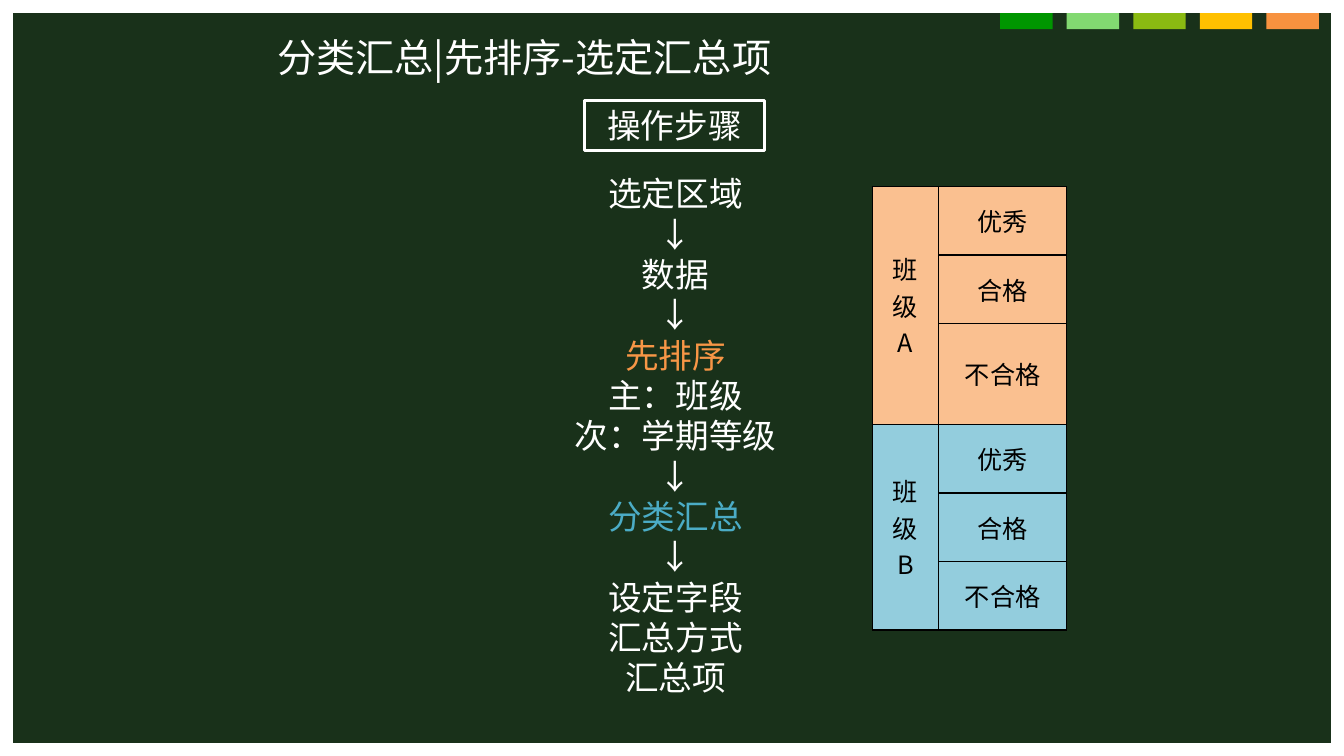
"""Build the slide on sorting before a classified subtotal."""
from lxml.etree import SubElement
from pptx import Presentation
from pptx.dml.color import RGBColor
from pptx.enum.shapes import MSO_SHAPE
from pptx.enum.text import MSO_ANCHOR, MSO_AUTO_SIZE, PP_ALIGN
from pptx.oxml.ns import qn
from pptx.util import Inches, Pt

TITLE = "分类汇总|先排序-选定汇总项"
HEADING = "操作步骤"
STEPS = ["选定区域", "↓", "数据", "↓", "先排序", "主：班级", "次：学期等级",
         "↓", "分类汇总", "↓", "设定字段", "汇总方式", "汇总项"]
STEP_COLORS = {"先排序": "F79646", "分类汇总": "4BACC6"}
CLASSES = [("A", "FAC090"), ("B", "93CDDD")]
GRADES = ["优秀", "合格", "不合格"]
BAR_COLORS = ["009600", "82D971", "8ABA12", "FFC000", "F7923F"]
COLUMN_WIDTHS = [0.66, 1.27]
ROW_HEIGHTS = [0.68, 0.68, 1.0, 0.68, 0.68, 0.68]


class Theme:
    """Colours, font and type sizes."""
    font = "Noto Sans CJK SC"
    board = "19311A"
    light = "FFFFFF"
    dark = "000000"
    title_size = 28
    step_size = 24
    table_size = 18
    step_pitch = 28.8


def write_text(frame, lines, size, color=Theme.light, align=PP_ALIGN.CENTER,
               highlights=None, pitch=None):
    """Fill a text frame with one paragraph per line."""
    for index, line in enumerate(lines):
        paragraph = frame.add_paragraph() if index else frame.paragraphs[0]
        paragraph.alignment = align
        if pitch:
            paragraph.line_spacing = Pt(pitch)
        run = paragraph.add_run()
        run.text = line
        run.font.size = Pt(size)
        run.font.name = Theme.font
        run.font.color.rgb = RGBColor.from_string((highlights or {}).get(line, color))
        SubElement(run.font._element, qn("a:ea"), typeface=Theme.font)


def add_rectangle(slide, left, top, width, height, fill=None, line=None):
    """Add a flat rectangle with an optional fill and outline."""
    shape = slide.shapes.add_shape(MSO_SHAPE.RECTANGLE, Inches(left), Inches(top),
                                   Inches(width), Inches(height))
    shape.shadow.inherit = False
    if fill:
        shape.fill.solid()
        shape.fill.fore_color.rgb = RGBColor.from_string(fill)
    else:
        shape.fill.background()
    if line:
        shape.line.color.rgb = RGBColor.from_string(line)
        shape.line.width = Pt(2.25)
    else:
        shape.line.fill.background()
    return shape


def format_cell(cell, fill):
    """Give a cell black borders, a fill and middle anchoring."""
    properties = cell._tc.get_or_add_tcPr()
    for side in ("a:lnL", "a:lnR", "a:lnT", "a:lnB"):
        border = SubElement(properties, qn(side), w=str(Pt(1)))
        SubElement(SubElement(border, qn("a:solidFill")), qn("a:srgbClr"), val=Theme.dark)
    cell.fill.solid()
    cell.fill.fore_color.rgb = RGBColor.from_string(fill)
    cell.vertical_anchor = MSO_ANCHOR.MIDDLE


def add_grade_table(slide):
    """Add the table of grades grouped by class."""
    table = slide.shapes.add_table(
        len(ROW_HEIGHTS), len(COLUMN_WIDTHS), Inches(8.65), Inches(1.85),
        Inches(sum(COLUMN_WIDTHS)), Inches(sum(ROW_HEIGHTS))).table
    for column, width in zip(table.columns, COLUMN_WIDTHS):
        column.width = Inches(width)
    for row, height in zip(table.rows, ROW_HEIGHTS):
        row.height = Inches(height)
    for group, (letter, fill) in enumerate(CLASSES):
        first = group * len(GRADES)
        for offset, grade in enumerate(GRADES):
            for column in range(len(COLUMN_WIDTHS)):
                format_cell(table.cell(first + offset, column), fill)
            write_text(table.cell(first + offset, 1).text_frame, [grade],
                       Theme.table_size, color=Theme.dark)
        class_cell = table.cell(first, 0)
        class_cell.merge(table.cell(first + len(GRADES) - 1, 0))
        write_text(class_cell.text_frame, ["班级", letter], Theme.table_size, color=Theme.dark)


def main():
    """Assemble and save the slide."""
    presentation = Presentation()
    presentation.slide_width, presentation.slide_height = Inches(13.33), Inches(7.5)
    slide = presentation.slides.add_slide(presentation.slide_layouts[5])

    title = slide.shapes.title
    board = add_rectangle(slide, 0.13, 0.13, 13.07, 7.24, fill=Theme.board)
    title.element.addprevious(board.element)
    for index, color in enumerate(BAR_COLORS):
        add_rectangle(slide, 9.92 + index * 0.66, 0.13, 0.52, 0.16, fill=color)

    title.left, title.top = Inches(2.65), Inches(0.28)
    title.width, title.height = Inches(6.35), Inches(0.57)
    title.text_frame.auto_size = MSO_AUTO_SIZE.NONE
    title.text_frame.vertical_anchor = MSO_ANCHOR.MIDDLE
    write_text(title.text_frame, [TITLE], Theme.title_size, align=PP_ALIGN.LEFT)

    steps = slide.shapes.add_textbox(Inches(5.6), Inches(1.67), Inches(2.2), Inches(5.35))
    steps.text_frame.word_wrap = False
    write_text(steps.text_frame, STEPS, Theme.step_size, highlights=STEP_COLORS,
               pitch=Theme.step_pitch)

    heading = add_rectangle(slide, 5.8, 1, 1.78, 0.49, line=Theme.light)
    heading.text_frame.vertical_anchor = MSO_ANCHOR.MIDDLE
    write_text(heading.text_frame, [HEADING], Theme.step_size)

    add_grade_table(slide)
    presentation.save("out.pptx")


if __name__ == "__main__":
    main()
